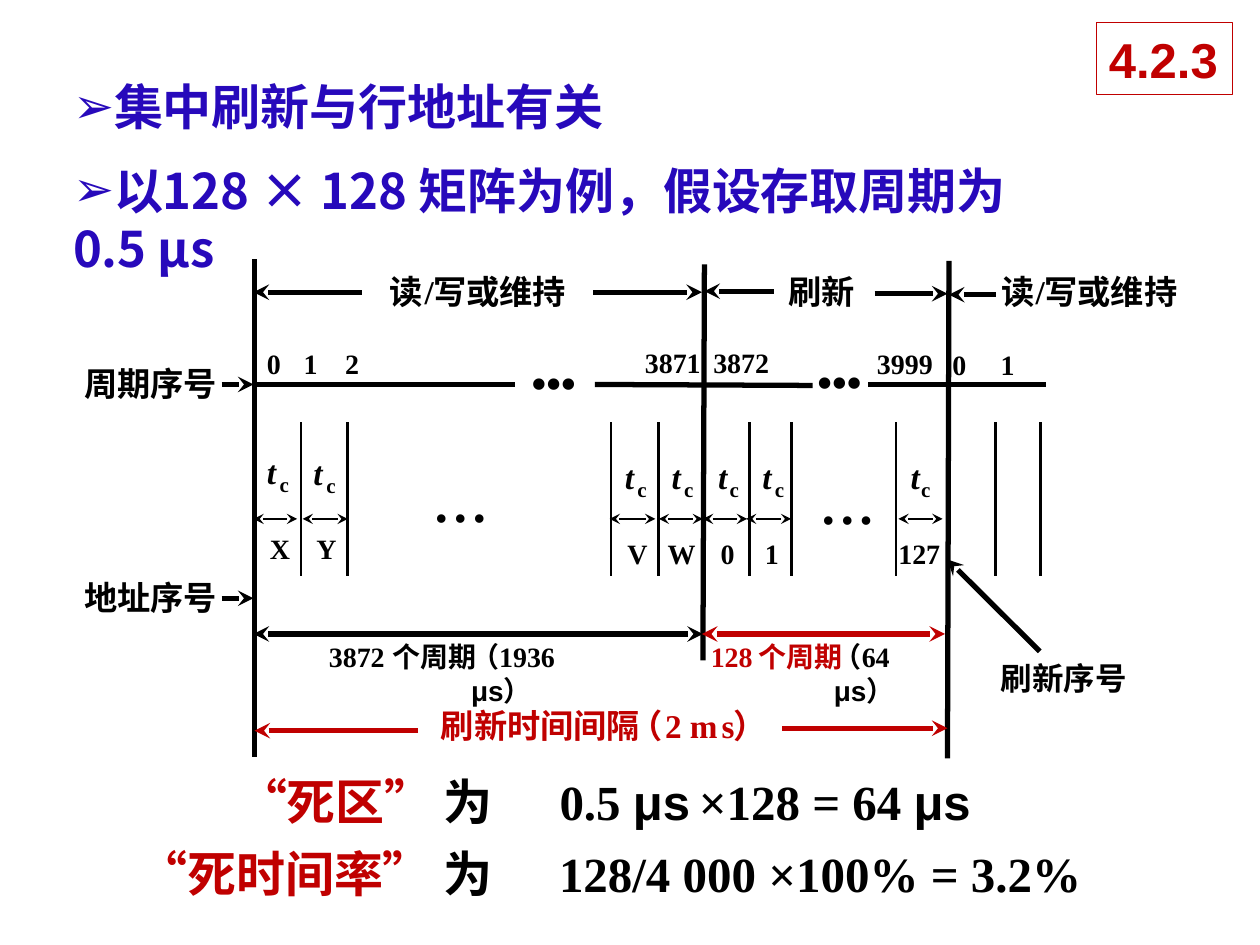
import lxml.etree
import pptx
import pptx.dml.color
import pptx.enum.shapes
import pptx.enum.text
import pptx.oxml.ns
import pptx.util

COLORS = {"black": "000000", "red": "C00000", "blue": "2709BB", "white": "FFFFFF"}
SERIF, SANS, CHINESE = "Times New Roman", "Arial", "Noto Sans CJK SC"


class Page:
    def __init__(self, slide):
        self.slide = slide

    def length(self, inches):
        return pptx.util.Cm(round(inches * 2.54, 2))

    def color(self, name):
        return pptx.dml.color.RGBColor.from_string(COLORS[name])

    def element(self, parent, tag, **attributes):
        return lxml.etree.SubElement(parent, pptx.oxml.ns.qn(tag), attributes)

    def place(self, shape, left, top, width, height):
        shape.left, shape.top = self.length(left), self.length(top)
        shape.width, shape.height = self.length(width), self.length(height)

    def style(self, span, size, font, color, italic=False):
        span.font.size = pptx.util.Pt(size)
        span.font.name = font
        span.font.bold = True
        span.font.italic = italic
        span.font.color.rgb = self.color(color)
        self.element(span.font._element, "a:ea", typeface=CHINESE)

    def text(self, left, top, width, height, spans, wrap=False, inset=(0, 0), tabs=()):
        box = self.slide.shapes.add_textbox(0, 0, 0, 0)
        self.place(box, left, top, width, height)
        frame = box.text_frame
        frame.word_wrap = wrap
        frame.margin_left = frame.margin_right = self.length(inset[0])
        frame.margin_top = frame.margin_bottom = self.length(inset[1])
        para = frame.paragraphs[0]
        for words, *look in spans:
            span = para.add_run()
            span.text = words
            self.style(span, *look)
        if tabs:
            stops = self.element(para._p.get_or_add_pPr(), "a:tabLst")
            for stop in tabs:
                self.element(stops, "a:tab", pos=str(self.length(stop)), algn="l")

    def label(self, words, left, top, width, size=16, font=SERIF, color="black", italic=False):
        self.text(left, top, width, size / 60, [(words, size, font, color, italic)])

    def line(self, x1, y1, x2, y2, weight=3.0, color="black", ends=()):
        line = self.slide.shapes.add_connector(
            pptx.enum.shapes.MSO_CONNECTOR.STRAIGHT,
            *(self.length(value) for value in (x1, y1, x2, y2)))
        line.line.width = pptx.util.Pt(weight)
        line.line.color.rgb = self.color(color)
        for end in ends:
            self.element(line.line._get_or_add_ln(), f"a:{end}End", type="stealth")
        self.element(line._element.spPr, "a:effectLst")

    def title(self, words, *area):
        title = self.slide.shapes.title
        self.place(title, *area)
        title.fill.solid()
        title.fill.fore_color.rgb = self.color("white")
        title.line.color.rgb = self.color("red")
        title.line.width = pptx.util.Pt(0.75)
        title.text_frame.text = words
        title.text_frame.word_wrap = False
        title.text_frame.auto_size = pptx.enum.text.MSO_AUTO_SIZE.NONE
        para = title.text_frame.paragraphs[0]
        para.alignment = pptx.enum.text.PP_ALIGN.LEFT
        self.style(para.runs[0], 28, SANS, "red")

    def bullets(self, items, *area):
        body = self.slide.placeholders[1]
        self.place(body, *area)
        frame = body.text_frame
        frame.text = "\n".join(items)
        frame.auto_size = pptx.enum.text.MSO_AUTO_SIZE.NONE
        frame.margin_right = self.length(0.5)
        for para in frame.paragraphs:
            para.space_before = pptx.util.Pt(14)
            para.line_spacing = 1.0
            properties = para._p.get_or_add_pPr()
            properties.set("marL", "0")
            properties.set("indent", "0")
            self.element(properties, "a:buFont", typeface=SANS)
            self.element(properties, "a:buChar", char="➢")
            self.style(para.runs[0], 28, CHINESE, "blue")


def draw_lines(page):
    for x1, y1, x2, y2 in [(5.59, 2.1, 5.58, 5.24), (2.02, 2.06, 2.02, 6.01),
                           (7.53, 2.07, 7.52, 6.02), (2.03, 3.05, 4.09, 3.05),
                           (4.72, 3.05, 6.45, 3.06), (6.89, 3.05, 8.3, 3.05)]:
        page.line(x1, y1, x2, y2)
    for x in (2.39, 2.76, 4.85, 5.23, 5.95, 6.28, 7.11, 7.9, 8.26):
        page.line(x, 3.35, x, 4.57, 1.5)
    for start, end in [(2.01, 2.36), (2.4, 2.76), (4.84, 5.2), (5.23, 5.58),
                       (5.58, 5.93), (5.92, 6.28), (7.13, 7.48)]:
        page.line(start, 4.12, end, 4.12, 1.5, ends=("head", "tail"))
    for start, end, y, color in [
            (1.76, 2.01, 3.05, "black"), (1.76, 2.01, 4.75, "black"),
            (2.87, 2.01, 2.32, "black"), (4.71, 5.57, 2.32, "black"),
            (6.14, 5.59, 2.31, "black"), (6.94, 7.52, 2.33, "black"),
            (7.9, 7.53, 2.34, "black"), (3.32, 2.02, 5.8, "red"), (6.21, 7.52, 5.78, "red")]:
        page.line(start, y, end, y, color=color, ends=("tail",))
    page.line(8.25, 5.17, 7.52, 4.44, ends=("tail",))
    page.line(2.01, 5.03, 5.58, 5.03, ends=("head", "tail"))
    page.line(5.57, 5.03, 7.5, 5.03, color="red", ends=("head", "tail"))


def draw_labels(page):
    for words, left, top in [("周期序号", 0.67, 2.88), ("地址序号", 0.67, 4.58),
                             ("写或维持", 3.44, 2.15), ("写或维持", 8.29, 2.15),
                             ("读", 3.09, 2.15), ("读", 7.95, 2.15), ("刷新", 6.26, 2.15)]:
        page.label(words, left, top, 0.27 * len(words), 19, SANS)
    for left in (3.37, 8.22):
        page.label("/", left, 2.15, 0.07, 19)
    page.label("刷新序号", 7.94, 5.23, 1.01, 18, SANS)

    for words, left, top in [("0", 2.12, 2.75), ("1", 2.41, 2.75), ("2", 2.74, 2.75),
                             ("3871", 5.12, 2.74), ("3872", 5.66, 2.74), ("3999", 6.96, 2.75),
                             ("0", 7.56, 2.76), ("1", 7.94, 2.76), ("0", 5.72, 4.26),
                             ("1", 6.07, 4.26), ("127", 7.13, 4.26), ("3872", 2.61, 5.08)]:
        page.label(words, left, top, 0.12 * len(words))
    for words, left, top, width in [("X", 2.14, 4.22, 0.17), ("Y", 2.51, 4.22, 0.17),
                                    ("V", 4.98, 4.26, 0.17), ("W", 5.3, 4.26, 0.23)]:
        page.label(words, left, top, width)
    for left, top, gap in [(2.12, 3.58, 0.1), (2.49, 3.59, 0.1), (4.96, 3.62, 0.1),
                           (5.33, 3.62, 0.1), (5.7, 3.62, 0.09), (6.05, 3.62, 0.1),
                           (7.23, 3.62, 0.08)]:
        page.label("t", left, top, 0.09, 19, italic=True)
        page.label("c", left + gap, top + 0.16, 0.08, 12)
    for words, left, top, width, size in [("•••", 4.2, 2.78, 0.67, 24), ("•••", 6.47, 2.77, 0.51, 24),
                                          ("• • •", 3.44, 3.9, 0.67, 18), ("• • •", 6.51, 3.92, 0.67, 18)]:
        page.text(left, top, width, size / 48, [(words, size, SERIF, "black")], True, (0.02, 0.05))


def draw_durations(page):
    page.label("个周期", 3.12, 5.08, 0.69, font=SANS)
    page.label("128", 5.64, 5.08, 0.36, color="red")
    page.label("个周期", 6.02, 5.08, 0.69, font=SANS, color="red")
    for count, left, width in [("（1936 ", 3.74, 1.0), ("（64 ", 6.62, 0.8)]:
        page.text(left, 5.08, width, 0.6,
                  [(count, 16, SERIF, "black"), ("μs）", 16, SANS, "black")], True)
    for words, left, top, width, font in [
            ("刷新时间间隔", 3.5, 5.6, 1.61, SANS), ("（", 5.0, 5.6, 0.27, SANS),
            ("2 m", 5.28, 5.6, 0.44, SERIF), ("s", 5.73, 5.6, 0.12, SERIF),
            ("）", 5.82, 5.6, 0.27, SANS)]:
        page.label(words, left, top, width, 19, font, "red")


def draw_results(page):
    results = [
        ("“死区”", 1.79, 6.07, 7.92, [("0.5 ", SERIF, 28), ("μs", SANS, 28), (" ", SANS, 18),
                                    ("×128 = 64 ", SERIF, 28), ("μs", SANS, 28)]),
        ("“死时间率”", 1.0, 6.64, 8.42, [("128/4 000 ×100% = 3.2%", SERIF, 28)])]
    for name, left, top, width, formula in results:
        spans = [(name, 28, SERIF, "red"), ("\t为\t", 28, SERIF, "black")]
        spans += [(words, size, font, "black") for words, font, size in formula]
        tabs = [column - left - 0.1 for column in (3.52, 4.44)]
        page.text(left, top, width, 0.57, spans, True, (0.1, 0.05), tabs)


def main():
    deck = pptx.Presentation()
    deck.slide_width, deck.slide_height = pptx.util.Cm(25.4), pptx.util.Cm(19.05)
    page = Page(deck.slides.add_slide(deck.slide_layouts[1]))
    page.title("4.2.3", 8.7, 0.18, 1.08, 0.57)
    page.bullets(["集中刷新与行地址有关", "以128 × 128 矩阵为例，假设存取周期为0.5 μs"],
                 0.48, 0.56, 8.45, 1.3)
    draw_lines(page)
    draw_labels(page)
    draw_durations(page)
    draw_results(page)
    deck.save("out.pptx")


if __name__ == "__main__":
    main()
